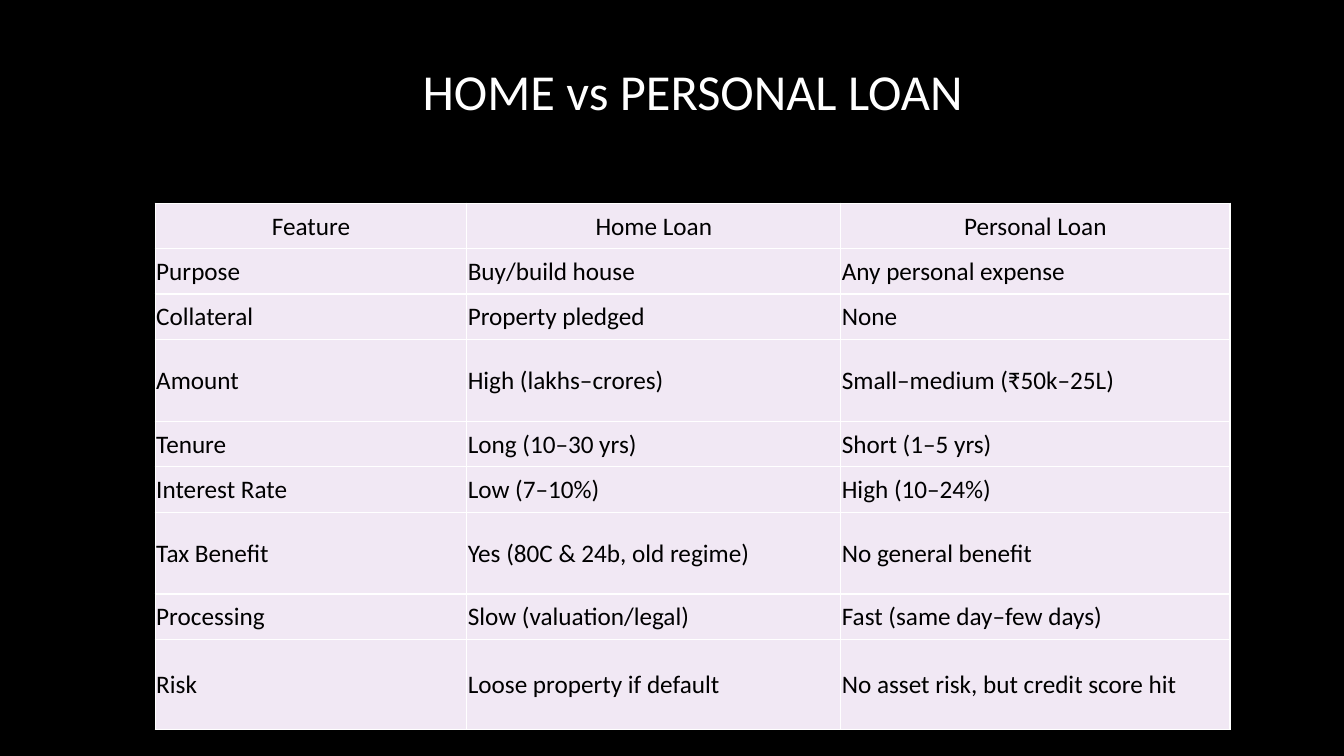
from dataclasses import dataclass
from typing import NamedTuple

from lxml.etree import SubElement
from pptx import Presentation
from pptx.dml.color import RGBColor as Color
from pptx.enum.text import MSO_ANCHOR as Anchor, PP_ALIGN as Align
from pptx.oxml.ns import qn
from pptx.util import Inches, Pt


@dataclass(frozen=True)
class Theme:
    font: str = "Calibri"
    title_size: int = 36
    table_size: int = 18
    background: str = "000000"
    title: str = "FFFFFF"
    cell: str = "F1E8F4"
    text: str = "000000"
    border: str = "FFFFFF"
    border_width: int = 1


class Box(NamedTuple):
    left: int
    top: int
    width: int
    height: int


THEME = Theme()
SLIDE_WIDTH, SLIDE_HEIGHT = Inches(13.33), Inches(7.5)
COLUMN_WEIGHTS = (309, 371, 386)
SHORT, TALL, LAST = 45, 81, 89
LOAN_ROWS = (
    (SHORT, "Feature", "Home Loan", "Personal Loan"),
    (SHORT, "Purpose", "Buy/build house", "Any personal expense"),
    (SHORT, "Collateral", "Property pledged", "None"),
    (TALL, "Amount", "High (lakhs–crores)", "Small–medium (₹50k–25L)"),
    (SHORT, "Tenure", "Long (10–30 yrs)", "Short (1–5 yrs)"),
    (SHORT, "Interest Rate", "Low (7–10%)", "High (10–24%)"),
    (TALL, "Tax Benefit", "Yes (80C & 24b, old regime)", "No general benefit"),
    (SHORT, "Processing", "Slow (valuation/legal)", "Fast (same day–few days)"),
    (LAST, "Risk", "Loose property if default", "No asset risk, but credit score hit"),
)


def percent_box(left, top, width, height):
    return Box(
        round(SLIDE_WIDTH * left / 100),
        round(SLIDE_HEIGHT * top / 100),
        round(SLIDE_WIDTH * width / 100),
        round(SLIDE_HEIGHT * height / 100),
    )


def write_text(para, text, size, color, align):
    para.text = text
    para.alignment = align
    para.font.name = THEME.font
    para.font.size = Pt(size)
    para.font.color.rgb = Color.from_string(color)


def add_title(page, box, text):
    frame = page.shapes.add_textbox(*box).text_frame
    frame.word_wrap = True
    frame.vertical_anchor = Anchor.MIDDLE
    write_text(frame.paragraphs[0], text, THEME.title_size, THEME.title, Align.CENTER)


def add_borders(cell):
    properties = cell._tc.get_or_add_tcPr()
    for position, side in enumerate(("a:lnL", "a:lnR", "a:lnT", "a:lnB")):
        line = SubElement(properties, qn(side), w=str(Pt(THEME.border_width)))
        fill = SubElement(line, qn("a:solidFill"))
        SubElement(fill, qn("a:srgbClr"), val=THEME.border)
        properties.insert(position, line)


def style_cell(cell, text, align):
    cell.fill.solid()
    cell.fill.fore_color.rgb = Color.from_string(THEME.cell)
    cell.margin_left = cell.margin_right = cell.margin_top = Inches(0.01)
    cell.margin_bottom = 0
    cell.vertical_anchor = Anchor.MIDDLE
    add_borders(cell)
    write_text(cell.text_frame.paragraphs[0], text, THEME.table_size, THEME.text, align)


def add_loan_table(page, box, rows):
    table = page.shapes.add_table(len(rows), len(COLUMN_WEIGHTS), *box).table
    for column, weight in zip(table.columns, COLUMN_WEIGHTS):
        column.width = round(box.width * weight / sum(COLUMN_WEIGHTS))
    total_height = sum(weight for weight, *_ in rows)
    for index, (weight, *texts) in enumerate(rows):
        table.rows[index].height = round(box.height * weight / total_height)
        align = Align.LEFT if index else Align.CENTER
        for cell, text in zip(table.rows[index].cells, texts):
            style_cell(cell, text, align)


def build_comparison_page(deck):
    page = deck.slides.add_slide(deck.slide_layouts[6])
    page.background.fill.solid()
    page.background.fill.fore_color.rgb = Color.from_string(THEME.background)
    add_title(page, percent_box(9.98, 1.33, 83.12, 21.2), "HOME vs PERSONAL LOAN")
    add_loan_table(page, percent_box(11.55, 26.87, 79.97, 69.6), LOAN_ROWS)


def main():
    deck = Presentation()
    deck.slide_width, deck.slide_height = SLIDE_WIDTH, SLIDE_HEIGHT
    build_comparison_page(deck)
    deck.save("out.pptx")


if __name__ == "__main__":
    main()
